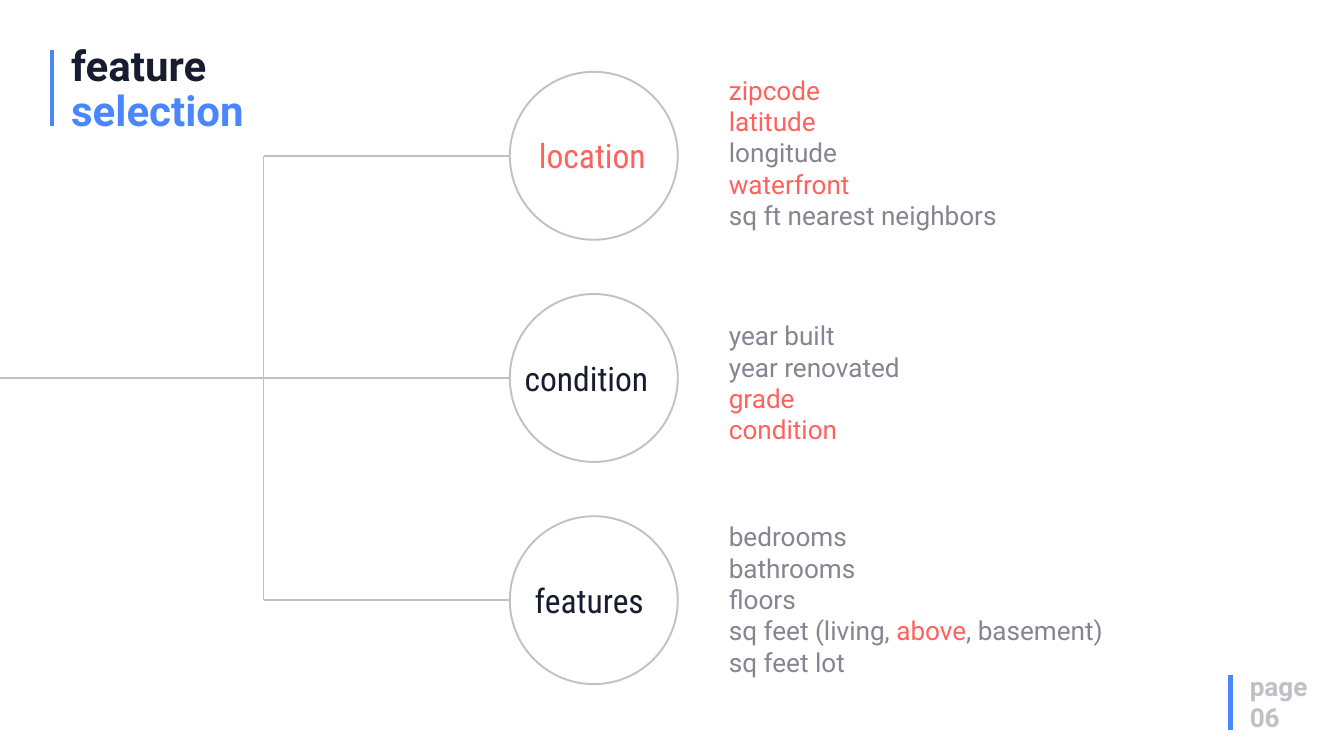
from lxml.etree import SubElement
from pptx import Presentation
from pptx.dml.color import RGBColor
from pptx.enum.shapes import MSO_CONNECTOR, MSO_SHAPE
from pptx.oxml.ns import qn
from pptx.util import Cm, Pt

BLUE, NAVY, CORAL = "4A86FF", "171C30", "FF625D"
GREY, PALE, WHITE = "858591", "C0C0C8", "FFFFFF"
BREAK = "\n"


def colour(value):
    """Turn a hex string into a colour."""
    return RGBColor.from_string(value)


class SlideBuilder:
    """Hold the deck style and the slide being built."""

    font = "Roboto"
    label_font = "Roboto Condensed"
    line_width = 2

    def __init__(self, slide):
        """Keep the slide that receives the elements."""
        self.slide = slide

    def line(self, start, end, value=PALE, width=line_width):
        """Draw a straight line without a shadow."""
        connector = self.slide.shapes.add_connector(
            MSO_CONNECTOR.STRAIGHT, *map(Cm, start + end))
        connector.line.color.rgb = colour(value)
        connector.line.width = Pt(width)
        SubElement(connector._element.spPr, qn("a:effectLst"))

    def circle(self, left, top, size):
        """Draw an outlined white circle."""
        shape = self.slide.shapes.add_shape(
            MSO_SHAPE.OVAL, Cm(left), Cm(top), Cm(size), Cm(size))
        shape.shadow.inherit = False
        shape.fill.solid()
        shape.fill.fore_color.rgb = colour(WHITE)
        shape.line.color.rgb = colour(PALE)
        shape.line.width = Pt(self.line_width)

    def text(self, box, lines, size, font=font, bold=False, spacing=None):
        """Write one paragraph per line, each a list of coloured pieces."""
        text_frame = self.slide.shapes.add_textbox(*map(Cm, box)).text_frame
        text_frame.word_wrap = True
        for index, pieces in enumerate(lines):
            paragraph = text_frame.add_paragraph() if index else text_frame.paragraphs[0]
            paragraph.line_spacing = spacing
            for words, value in pieces:
                if words == BREAK:
                    paragraph.add_line_break()
                    continue
                run = paragraph.add_run()
                run.text = words
                run.font.name = font
                run.font.size = Pt(size)
                run.font.bold = bold
                run.font.color.rgb = colour(value)


GROUPS = [
    ("location", CORAL, 20.12, 2.67, [
        [("zipcode", CORAL)],
        [("latitude", CORAL)],
        [("longitude", GREY)],
        [("waterfront", CORAL)],
        [("sq ft nearest neighbors", GREY)],
    ]),
    ("condition", NAVY, 19.58, 11.96, [
        [("year built", GREY)],
        [("year renovated", GREY)],
        [("grade", CORAL)],
        [("condition", CORAL)],
    ]),
    ("features", NAVY, 19.96, 19.56, [
        [("bedrooms", GREY)],
        [("bathrooms", GREY)],
        [("floors", GREY)],
        [("sq feet (living, ", GREY), ("above", CORAL), (", basement)", GREY)],
        [("sq feet lot", GREY)],
    ]),
]


def main():
    """Build and save the feature selection slide."""
    presentation = Presentation()
    presentation.slide_width, presentation.slide_height = Cm(50.8), Cm(28.58)
    builder = SlideBuilder(presentation.slides.add_slide(presentation.slide_layouts[6]))

    builder.line((46.51, 25.53), (46.51, 27.58), BLUE, 5)
    builder.line((1.96, 1.9), (1.96, 4.78), BLUE, 5)
    builder.text((2.44, 1.57, 15.14, 3.71),
                 [[("feature", NAVY), (BREAK, NAVY), ("selection", BLUE)]],
                 45, bold=True, spacing=0.9)
    builder.text((46.99, 25.2, 4.83, 2.64), [[("page", PALE)], [("06", PALE)]],
                 28, bold=True)

    trunk, circle_left, diameter = 9.96, 19.27, 6.35
    centers = [5.89 + 8.4 * row for row in range(len(GROUPS))]
    builder.line((0, centers[1]), (trunk, centers[1]))
    builder.line((trunk, centers[0]), (trunk, centers[-1]))
    for center, (label, label_colour, label_left, list_top, items) in zip(centers, GROUPS):
        builder.line((trunk, center), (circle_left, center))
        builder.circle(circle_left, center - diameter / 2, diameter)
        builder.text((label_left, center - 0.9, 5.4, 1.8), [[(label, label_colour)]],
                     36, builder.label_font)
        builder.text((27.3, list_top, 15.44, 0.25 + 1.2 * len(items)), items, 28)

    presentation.save("out.pptx")


if __name__ == "__main__":
    main()
